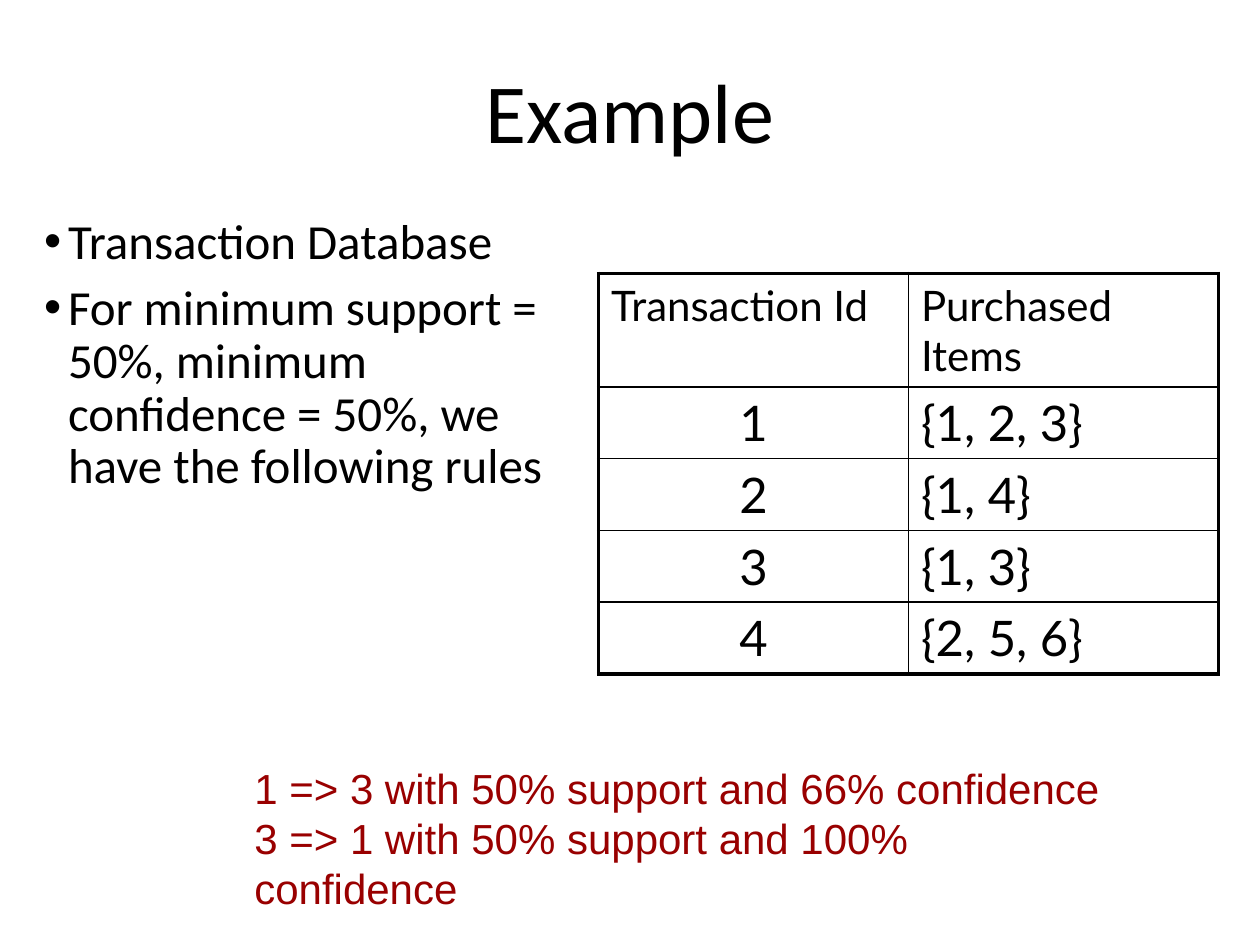
from dataclasses import dataclass

from lxml import etree
from pptx import Presentation
from pptx.dml.color import RGBColor
from pptx.enum import text
from pptx.oxml import ns
from pptx.util import Inches, Pt


@dataclass(frozen=True)
class Theme:
    """Colours, fonts and type sizes of the slide."""
    ink: str = "000000"
    rule: str = "990000"
    main: str = "Calibri"
    grid: str = "Lato"
    note: str = "Arial"
    head: int = 48
    body: int = 28
    small: int = 24
    thick: float = 2.25
    thin: float = 1


THEME = Theme()


def style(para, face, size, color, align=text.PP_ALIGN.LEFT):
    """Set the font and alignment of a paragraph."""
    para.alignment = align
    para.font.name = face
    para.font.size = Pt(size)
    para.font.color.rgb = RGBColor.from_string(color)


def place(shape, box):
    """Move a shape to a box given in inches."""
    shape.left, shape.top, shape.width, shape.height = map(Inches, box)


def indent(para, left, first=0):
    """Set the left margin and first-line indent of a paragraph."""
    props = para._p.get_or_add_pPr()
    props.set("marL", str(Inches(left)))
    props.set("indent", str(Inches(first)))
    return props


def add_title(slide, box, words):
    """Fill the title placeholder."""
    title = slide.shapes.title
    place(title, box)
    frame = title.text_frame
    frame.text = words
    frame.auto_size = text.MSO_AUTO_SIZE.NONE
    frame.vertical_anchor = text.MSO_ANCHOR.MIDDLE
    para = frame.paragraphs[0]
    para.line_spacing = 0.9
    style(para, THEME.main, THEME.head, THEME.ink, text.PP_ALIGN.CENTER)


def add_list(slide, box, items):
    """Fill the body placeholder with bullets."""
    body = slide.placeholders[1]
    place(body, box)
    frame = body.text_frame
    frame.text = "\n".join(items)
    frame.auto_size = text.MSO_AUTO_SIZE.NONE
    for i, para in enumerate(frame.paragraphs):
        props = indent(para, 0.19, -0.19)
        etree.SubElement(props, ns.qn("a:buFont"), typeface="Arial")
        etree.SubElement(props, ns.qn("a:buChar"), char="•")
        para.line_spacing = 0.9
        para.space_before = Pt(7.5 if i else 0)
        style(para, THEME.main, THEME.body, THEME.ink)


def add_edge(cell, side, width):
    """Draw one border of a table cell."""
    props = cell._tc.get_or_add_tcPr()
    line = etree.SubElement(props, ns.qn(f"a:ln{side}"), w=str(Pt(width)))
    fill = etree.SubElement(line, ns.qn("a:solidFill"))
    etree.SubElement(fill, ns.qn("a:srgbClr"), val=THEME.ink)


def add_grid(slide, box, rows):
    """Add the transaction table with a thick outer frame."""
    high, wide = len(rows), len(rows[0])
    table = slide.shapes.add_table(high, wide, *map(Inches, box)).table
    table.first_row = table.horz_banding = False
    step = 0.57
    for r, row in enumerate(rows):
        table.rows[r].height = Inches(step if r else box[3] - step * (high - 1))
        for c, words in enumerate(row):
            cell = table.cell(r, c)
            cell.text = words
            outer = {"L": c == 0, "R": c == wide - 1,
                     "T": r == 0, "B": r == high - 1}
            for side, edge in outer.items():
                add_edge(cell, side, THEME.thick if edge else THEME.thin)
            cell.fill.background()
            mid = r > 0 and c == 0
            style(cell.text_frame.paragraphs[0], THEME.grid,
                  THEME.body if r else THEME.small, THEME.ink,
                  text.PP_ALIGN.CENTER if mid else text.PP_ALIGN.LEFT)


def add_rules(slide, box, rules):
    """Add the resulting rules below the table."""
    frame = slide.shapes.add_textbox(*map(Inches, box)).text_frame
    frame.word_wrap = True
    frame.text = "\n".join(rules)
    for para in frame.paragraphs:
        para.level = 1
        indent(para, 0.5)
        style(para, THEME.note, THEME.small, THEME.rule)


def main():
    """Build and save the slide."""
    deck = Presentation()
    deck.slide_width, deck.slide_height = Inches(10), Inches(7.5)
    slide = deck.slides.add_slide(deck.slide_layouts[1])
    add_title(slide, (0.5, 0.3, 9, 1.25), "Example")
    add_list(slide, (0.25, 1.67, 4.42, 4.07), [
        "Transaction Database",
        "For minimum support = 50%, minimum confidence = 50%, "
        "we have the following rules",
    ])
    add_grid(slide, (4.75, 2.17, 4.92, 3.17), [
        ("Transaction Id", "Purchased Items"),
        ("1", "{1, 2, 3}"),
        ("2", "{1, 4}"),
        ("3", "{1, 3}"),
        ("4", "{2, 5, 6}"),
    ])
    add_rules(slide, (1.42, 6, 7.58, 0.9), [
        "1 => 3 with 50% support and 66% confidence",
        "3 => 1 with 50% support and 100% confidence",
    ])
    deck.save("out.pptx")


if __name__ == "__main__":
    main()
